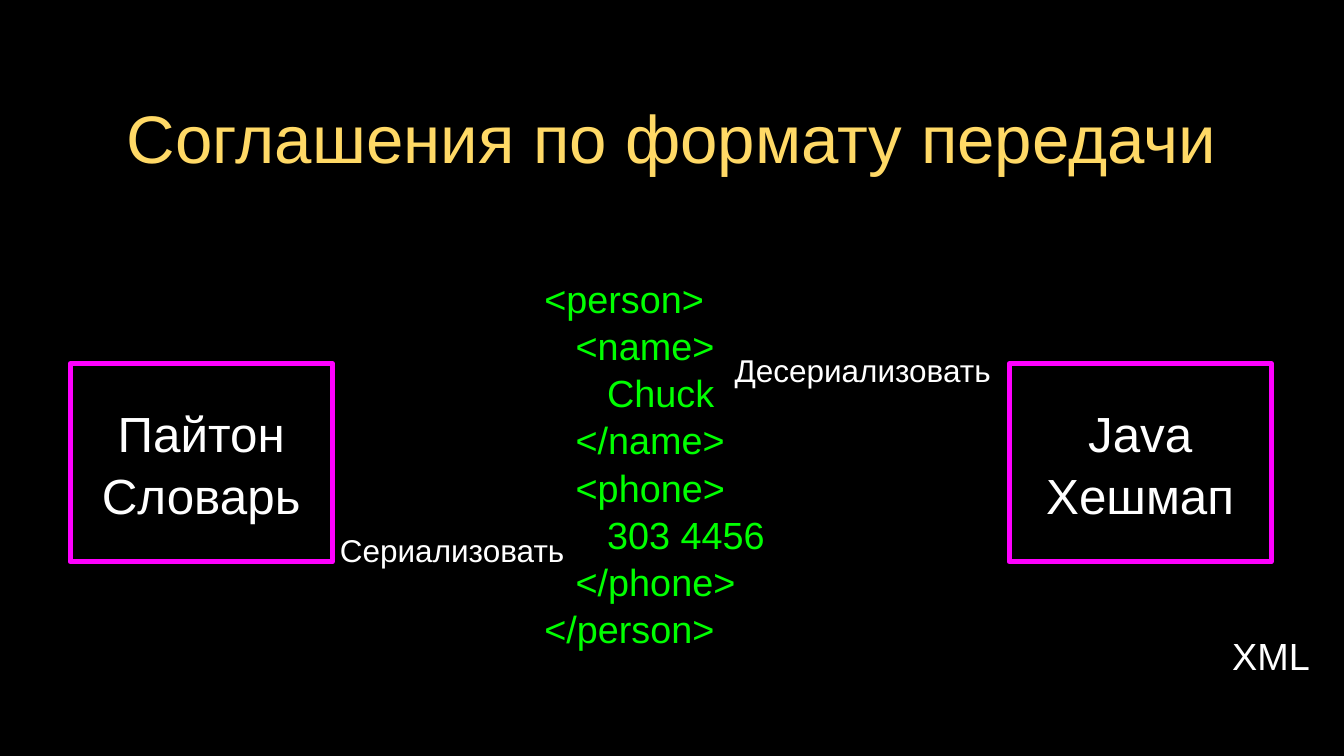
from dataclasses import dataclass

from pptx import Presentation
from pptx.dml.color import RGBColor
from pptx.enum.shapes import MSO_SHAPE
from pptx.enum.text import MSO_ANCHOR, PP_ALIGN
from pptx.util import Cm, Pt

RECTANGLE = MSO_SHAPE.RECTANGLE
MIDDLE = MSO_ANCHOR.MIDDLE
LEFT, CENTER = PP_ALIGN.LEFT, PP_ALIGN.CENTER


@dataclass(frozen=True)
class Theme:
    font: str = "Arial"
    background: RGBColor = RGBColor(0, 0, 0)
    title: RGBColor = RGBColor(0xFF, 0xD9, 0x66)
    text: RGBColor = RGBColor(0xFF, 0xFF, 0xFF)
    code: RGBColor = RGBColor(0, 0xFF, 0)
    border: RGBColor = RGBColor(0xFF, 0, 0xFF)
    title_size: int = 64
    node_size: int = 47
    code_size: int = 36
    label_size: int = 30
    border_width: int = 5
    line_spacing: float = 1.04


THEME = Theme()

XML_SAMPLE = """<person>
   <name>
      Chuck
   </name>
   <phone>
      303 4456
   </phone>
</person>"""


def write_text(shape, text, *, size, color=THEME.text, align=CENTER, spacing=None):
    """Put one paragraph per line of text into the shape."""
    frame = shape.text_frame
    frame.word_wrap = True
    frame.vertical_anchor = MIDDLE
    frame.margin_left = frame.margin_right = 0
    frame.margin_top = frame.margin_bottom = 0
    for index, line in enumerate(text.split("\n")):
        para = frame.add_paragraph() if index else frame.paragraphs[0]
        para.alignment = align
        if spacing:
            para.line_spacing = spacing
        span = para.add_run()
        span.text = line
        span.font.name = THEME.font
        span.font.size = Pt(size)
        span.font.color.rgb = color


def add_text(page, text, left, top, width, height, **text_format):
    box = page.shapes.add_textbox(Cm(left), Cm(top), Cm(width), Cm(height))
    write_text(box, text, **text_format)


def add_node(page, text, left):
    """Add an outlined box for one side of the exchange."""
    box = page.shapes.add_shape(RECTANGLE, Cm(left), Cm(12.22), Cm(8.81), Cm(6.65))
    box.shadow.inherit = False
    box.fill.background()
    box.line.color.rgb = THEME.border
    box.line.width = Pt(THEME.border_width)
    write_text(box, text, size=THEME.node_size, spacing=THEME.line_spacing)


def main():
    deck = Presentation()
    deck.slide_width, deck.slide_height = Cm(45.16), Cm(25.4)
    page = deck.slides.add_slide(deck.slide_layouts[6])
    page.background.fill.solid()
    page.background.fill.fore_color.rgb = THEME.background

    # Title
    add_text(page, "Соглашения по формату передачи", 3.2, 2.11, 38.71, 4.93,
             size=THEME.title_size, color=THEME.title)

    # The two programs
    add_node(page, "Пайтон\nСловарь", 2.36)
    add_node(page, "Java\nХешмап", 33.91)

    # Transfer format between them
    add_text(page, XML_SAMPLE, 18.29, 8.2, 8.51, 14.68, size=THEME.code_size,
             color=THEME.code, align=LEFT, spacing=THEME.line_spacing)

    # Labels
    add_text(page, "Сериализовать", 11.18, 17.6, 8.03, 1.73, size=THEME.label_size)
    add_text(page, "Десериализовать", 24.56, 11.58, 8.86, 1.73, size=THEME.label_size)
    add_text(page, "XML", 41.3, 21.16, 2.82, 1.73, size=THEME.code_size)

    deck.save("out.pptx")


if __name__ == "__main__":
    main()
